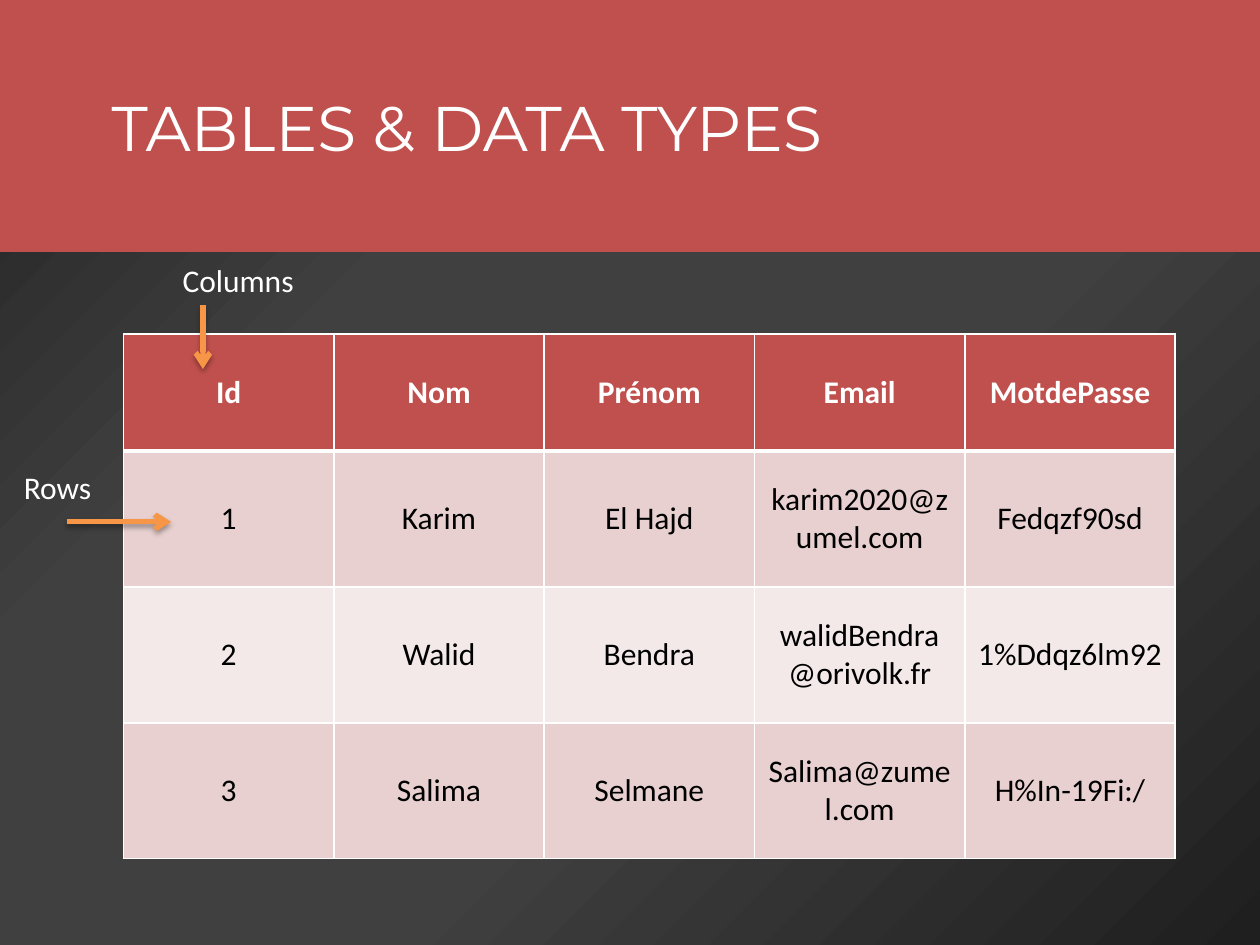
import pptx
import pptx.util
import pptx.oxml
import pptx.oxml.ns
import pptx.dml.color
import pptx.enum.text
import pptx.enum.shapes

Cm = pptx.util.Cm
Pt = pptx.util.Pt

TITLE = "TABLES & DATA TYPES"
HEAD = ["Id", "Nom", "Prénom", "Email", "MotdePasse"]
ROWS = [
    ["1", "Karim", "El Hajd", "karim2020@zumel.com", "Fedqzf90sd"],
    ["2", "Walid", "Bendra", "walidBendra@orivolk.fr", "1%Ddqz6lm92"],
    ["3", "Salima", "Selmane", "Salima@zumel.com", "H%In-19Fi:/"],
]
NOTES = [
    {"text": "Columns", "at": (3.43, 5.13), "line": (4.09, 6.15, 4.09, 7.44)},
    {"text": "Rows", "at": (0.23, 9.32), "line": (1.35, 10.52, 3.45, 10.52)},
]
COLORS = {"red": "C0504D", "rose": "E8D0D0", "pale": "F4E9E9",
          "white": "FFFFFF", "black": "000000", "orange": "F79646"}
STOPS = [(0, "1F1F1F"), (40, "404040"), (70, "404040"), (100, "212121")]
WIDE, TALL = 25.4, 19.05
LEFT, TOP, COL, FIRST, REST = 2.49, 6.73, 4.24, 2.36, 2.74
NS = pptx.oxml.ns.nsdecls("a")


def color(name):
    return pptx.dml.color.RGBColor.from_string(COLORS[name])


def write(frame, text, tint, size=18, font="Calibri", bold=False):
    par = frame.paragraphs[0]
    run = par.add_run()
    run.text = text
    run.font.size = Pt(size)
    run.font.name = font
    run.font.bold = bold
    run.font.color.rgb = color(tint)
    return par


def paint(slide):
    slide.background.fill.solid()
    back = slide.element.find(".//" + pptx.oxml.ns.qn("p:bgPr"))
    stops = "".join(f'<a:gs pos="{pos * 1000}"><a:srgbClr val="{tint}"/></a:gs>'
                    for pos, tint in STOPS)
    grad = pptx.oxml.parse_xml(
        f'<a:gradFill {NS} rotWithShape="1"><a:gsLst>{stops}</a:gsLst>'
        '<a:path path="circle"><a:fillToRect l="100000" t="100000"/></a:path>'
        '</a:gradFill>')
    back.replace(back[0], grad)


def banner(slide):
    box = slide.shapes.add_shape(pptx.enum.shapes.MSO_SHAPE.RECTANGLE,
                                 0, 0, Cm(WIDE), Cm(5.08))
    box.shadow.inherit = False
    box.fill.solid()
    box.fill.fore_color.rgb = color("red")
    box.line.fill.background()
    box.text_frame.vertical_anchor = pptx.enum.text.MSO_ANCHOR.MIDDLE
    par = write(box.text_frame, TITLE, "white", 36, "Montserrat")
    par.alignment = pptx.enum.text.PP_ALIGN.LEFT
    par._p.get_or_add_pPr().set("marL", str(Cm(2)))


def border(cell, row):
    thick = {"T": 3 if row == 1 else 1, "B": 3 if row == 0 else 1}
    props = cell._tc.get_or_add_tcPr()
    for spot, side in enumerate("LRTB"):
        props.insert(spot, pptx.oxml.parse_xml(
            f'<a:ln{side} {NS} w="{Pt(thick.get(side, 1))}"><a:solidFill>'
            f'<a:srgbClr val="{COLORS["white"]}"/></a:solidFill></a:ln{side}>'))


def table(slide):
    data = [HEAD] + ROWS
    high = FIRST + REST * len(ROWS)
    grid = slide.shapes.add_table(len(data), len(HEAD), Cm(LEFT), Cm(TOP),
                                  Cm(COL * len(HEAD)), Cm(high)).table
    for col in grid.columns:
        col.width = Cm(COL)
    for row, texts in enumerate(data):
        top = row == 0
        grid.rows[row].height = Cm(FIRST if top else REST)
        fill = "red" if top else ("rose" if row % 2 else "pale")
        for col, text in enumerate(texts):
            cell = grid.cell(row, col)
            cell.vertical_anchor = pptx.enum.text.MSO_ANCHOR.MIDDLE
            cell.fill.solid()
            cell.fill.fore_color.rgb = color(fill)
            par = write(cell.text_frame, text, "white" if top else "black", bold=top)
            par.alignment = pptx.enum.text.PP_ALIGN.CENTER
            border(cell, row)


def arrow(slide, ends):
    line = slide.shapes.add_connector(pptx.enum.shapes.MSO_CONNECTOR.STRAIGHT,
                                      *[Cm(end) for end in ends])
    line.line.color.rgb = color("orange")
    line.line.width = Pt(3)
    line.line._get_or_add_ln().append(
        pptx.oxml.parse_xml(f'<a:tailEnd {NS} type="arrow"/>'))
    line._element.spPr.append(pptx.oxml.parse_xml(
        f'<a:effectLst {NS}><a:outerShdw blurRad="{Pt(3.1)}" dist="{Pt(1.8)}" '
        f'dir="5400000" rotWithShape="0"><a:srgbClr val="{COLORS["black"]}">'
        '<a:alpha val="35000"/></a:srgbClr></a:outerShdw></a:effectLst>'))


def label(slide, text, at):
    box = slide.shapes.add_textbox(Cm(at[0]), Cm(at[1]), Cm(3.2), Cm(1.02))
    box.text_frame.word_wrap = True
    box.text_frame.auto_size = pptx.enum.text.MSO_AUTO_SIZE.SHAPE_TO_FIT_TEXT
    write(box.text_frame, text, "white")


def main():
    deck = pptx.Presentation()
    deck.slide_width, deck.slide_height = Cm(WIDE), Cm(TALL)
    slide = deck.slides.add_slide(deck.slide_layouts[6])
    paint(slide)
    banner(slide)
    table(slide)
    for note in NOTES:
        arrow(slide, note["line"])
        label(slide, note["text"], note["at"])
    deck.save("out.pptx")


if __name__ == "__main__":
    main()
